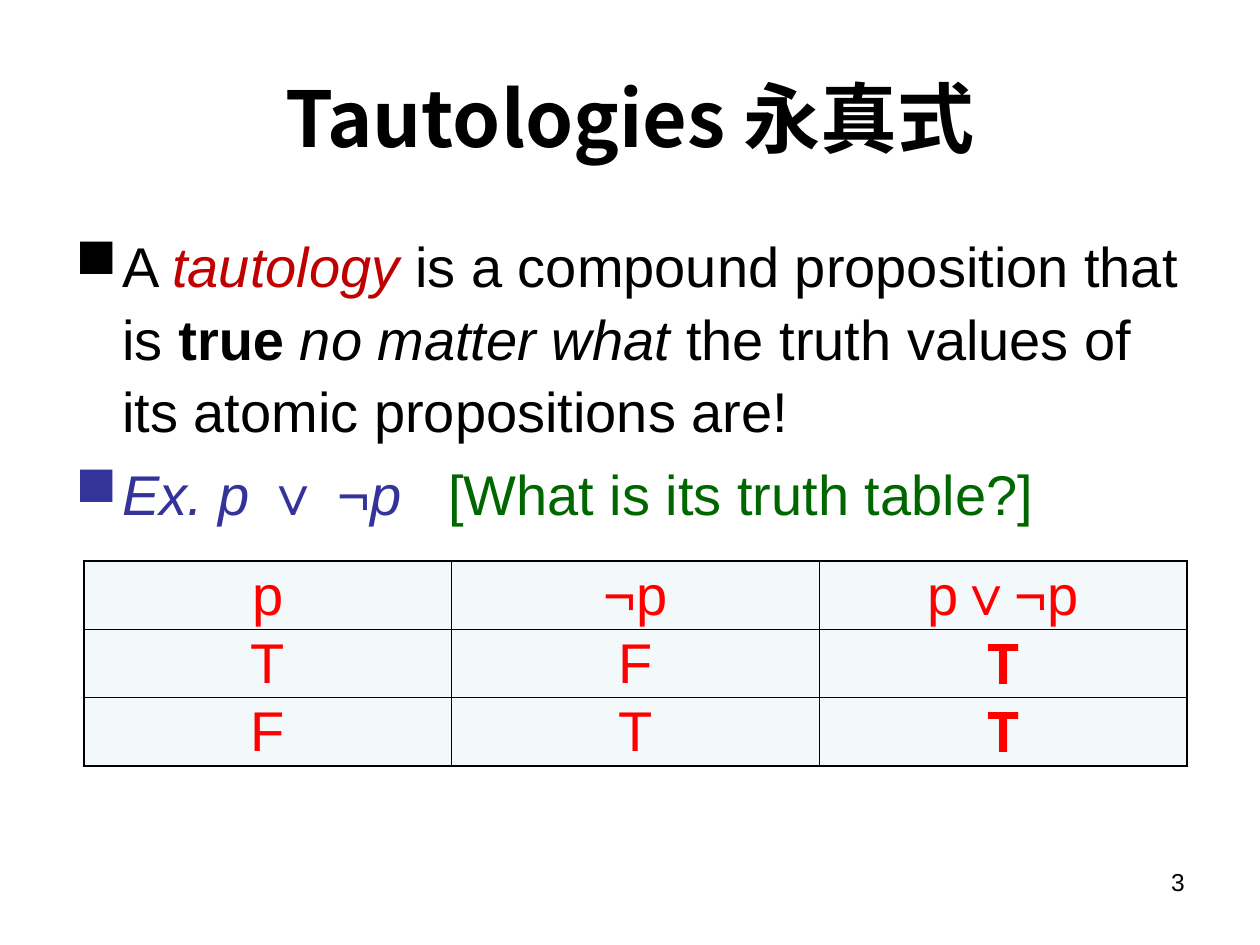
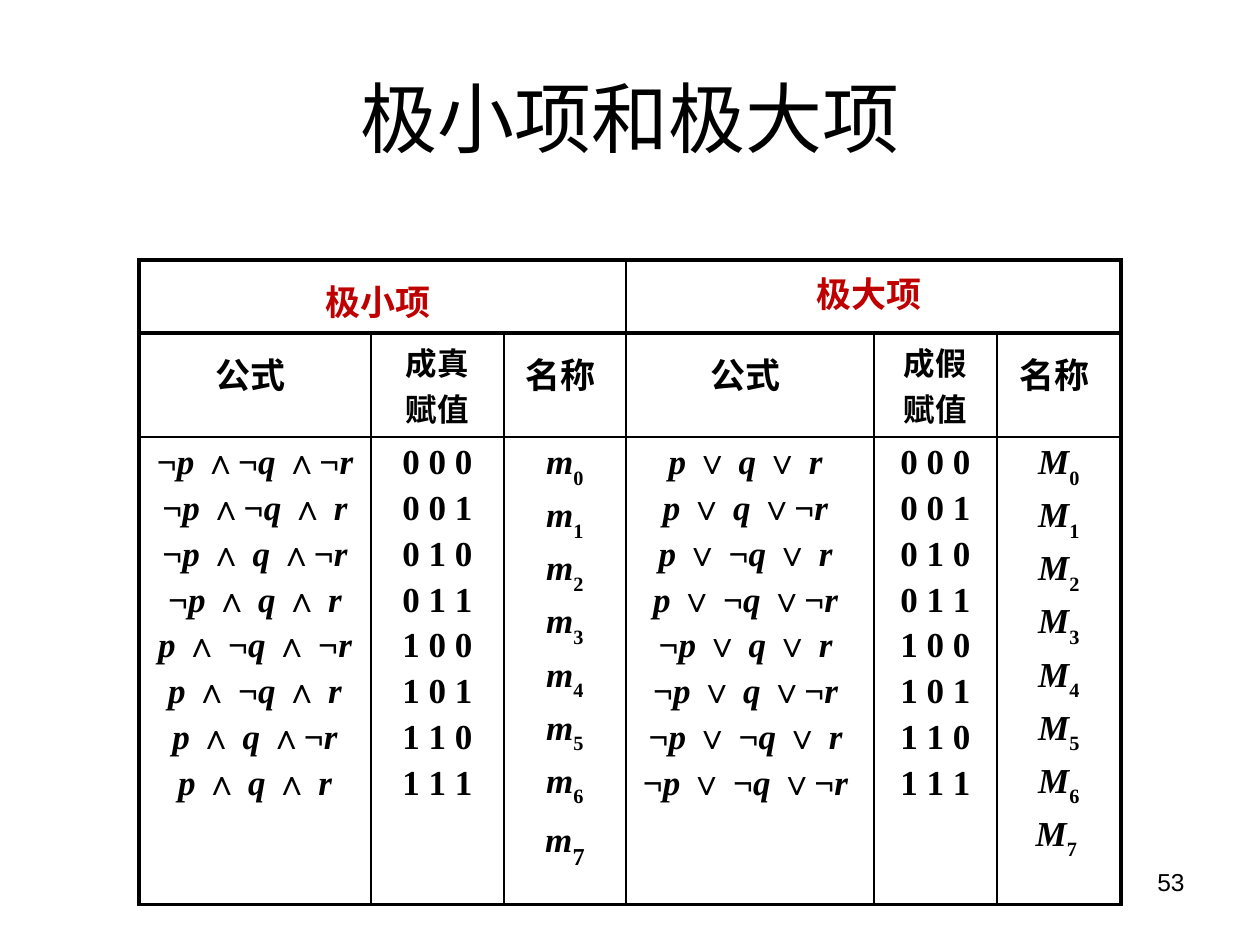
from itertools import accumulate, groupby

from lxml import etree
from pptx import Presentation
from pptx.dml.color import RGBColor
from pptx.enum.text import MSO_ANCHOR, PP_ALIGN
from pptx.oxml.ns import qn
from pptx.util import Emu, Pt

LEFT, CENTER, RIGHT = PP_ALIGN.LEFT, PP_ALIGN.CENTER, PP_ALIGN.RIGHT
TOP, MIDDLE = MSO_ANCHOR.TOP, MSO_ANCHOR.MIDDLE
COLORS = {"ink": "000000", "term": "C00000", "example": "333399",
          "question": "006600", "truth": "FF0000", "cell": "F3F9FA"}
SANS, CJK, MONO, SERIF = "Arial", "Noto Sans CJK SC", "Noto Sans Mono", "Times New Roman"
THIN, THICK = 1, 2.25
TITLE_BOX = (63, 38, 1134, 157)
BODY_BOX = (63, 220, 1134, 624)
NUMBER_BOX = (903, 861, 294, 66)
TRUTH_BOX = (84, 561, 1103, 205)
TERMS_BOX = (139, 260, 982, 618)
TRUTH_ROWS = [("p", "¬p", "p∨¬p"), ("T", "F", "T"), ("F", "T", "T")]
MINTERMS = ["¬p ∧¬q ∧¬r", "¬p ∧¬q ∧ r", "¬p ∧ q ∧¬r", "¬p ∧ q ∧ r",
            "p ∧ ¬q ∧ ¬r", "p ∧ ¬q ∧ r", "p ∧ q ∧¬r", "p ∧ q ∧ r"]
MAXTERMS = ["p ∨ q ∨ r ", "p ∨ q ∨¬r ", "p ∨ ¬q ∨ r ", "p ∨ ¬q ∨¬r ",
            "¬p ∨ q ∨ r ", "¬p ∨ q ∨¬r ", "¬p ∨ ¬q ∨ r ", "¬p ∨ ¬q ∨¬r "]
ASSIGNMENTS = [" ".join(f"{index:03b}") for index in range(8)]


def px(length):
    """Turn px into EMU."""
    return Emu(round(length * 914400 / 126))


def rgb(name):
    """Look up a named colour."""
    return RGBColor.from_string(COLORS[name])


def add_runs(paragraph, runs):
    """Add runs, each a string or a pair of text and differing traits."""
    for entry in runs:
        text, traits = (entry, {}) if isinstance(entry, str) else entry
        run = paragraph.add_run()
        run.text = text
        for trait, value in traits.items():
            if trait == "color":
                run.font.color.rgb = rgb(value)
            elif trait == "baseline":
                run._r.get_or_add_rPr().set("baseline", str(value))
            else:
                setattr(run.font, trait, value)


def style(paragraph, font, size, color="ink", bold=False, align=CENTER):
    """Set the font that all runs of a paragraph share."""
    paragraph.alignment = align
    paragraph.font.name = font
    paragraph.font.size = Pt(size)
    paragraph.font.bold = bold
    paragraph.font.color.rgb = rgb(color)
    if font == CJK:
        defaults = paragraph._p.pPr.find(qn("a:defRPr"))
        latin = defaults.find(qn("a:latin"))
        east_asian = etree.Element(qn("a:ea"), typeface=font)
        latin.addnext(east_asian)


def write(frame, lines, font, size, gap=0, **look):
    """Write centred or aligned lines into a text frame."""
    for index, runs in enumerate(lines):
        paragraph = frame.add_paragraph() if index else frame.paragraphs[0]
        style(paragraph, font, size, **look)
        if index and gap:
            paragraph.space_before = Pt(gap)
        add_runs(paragraph, runs)


def add_box(slide, box, anchor=TOP):
    """Add a wrapping text box and return its frame."""
    frame = slide.shapes.add_textbox(*map(px, box)).text_frame
    frame.word_wrap = True
    frame.vertical_anchor = anchor
    return frame


def add_frame(slide, title, number, bold=False):
    """Add the title and slide number that every slide carries."""
    write(add_box(slide, TITLE_BOX, MIDDLE), [[title]], CJK, 44, bold=bold)
    write(add_box(slide, NUMBER_BOX), [[number]], SANS, 14, align=RIGHT)


def add_grid(slide, left, top, widths, heights):
    """Add a plain table with the given column widths and row heights."""
    table = slide.shapes.add_table(len(heights), len(widths), px(left), px(top),
                                   px(sum(widths)), px(sum(heights))).table
    table.first_row = table.horz_banding = False
    for column, width in zip(table.columns, widths):
        column.width = px(width)
    for row, height in zip(table.rows, heights):
        row.height = px(height)
    return table


def finish_cell(cell, borders, fill=None):
    """Draw left, right, top and bottom borders, then the fill."""
    properties = cell._tc.get_or_add_tcPr()
    for side, width in zip("LRTB", borders):
        line = etree.SubElement(properties, qn(f"a:ln{side}"), w=str(Pt(width)))
        solid = etree.SubElement(line, qn("a:solidFill"))
        etree.SubElement(solid, qn("a:srgbClr"), val=COLORS["ink"])
    if fill:
        cell.fill.solid()
        cell.fill.fore_color.rgb = rgb(fill)
    else:
        cell.fill.background()


def edge_borders(column, count, top, bottom):
    """Give thick lines to the outer sides of a row of cells."""
    return (THICK if column == 0 else THIN,
            THICK if column == count - 1 else THIN, top, bottom)


def add_definition(slide, box):
    """Add the bulleted definition and example."""
    italic = {"italic": True}
    points = [
        ("ink", ["A ", ("tautology", {"italic": True, "color": "term"}),
                 " is a compound proposition that is ", ("true ", {"bold": True}),
                 ("no matter what", italic),
                 " the truth values of its atomic propositions are!"]),
        ("example", [("Ex. p ", italic), "∨ ¬", ("p", italic), "\t",
                     ("[What is its truth table?]", {"color": "question"})]),
    ]
    frame = add_box(slide, box)
    for index, (color, runs) in enumerate(points):
        paragraph = frame.add_paragraph() if index else frame.paragraphs[0]
        paragraph.line_spacing = 1.08
        if index:
            paragraph.space_before = Pt(6)
        properties = paragraph._p.get_or_add_pPr()
        properties.set("marL", str(px(47)))
        properties.set("indent", str(-px(47)))
        etree.SubElement(properties, qn("a:buChar"), char="■")
        if index:
            tabs = etree.SubElement(properties, qn("a:tabLst"))
            etree.SubElement(tabs, qn("a:tab"), pos=str(px(373)), algn="l")
        style(paragraph, SANS, 32, color, align=LEFT)
        add_runs(paragraph, runs)


def add_truth_table(slide, box):
    """Add the truth table, its result column emphasised."""
    left, top, width, height = box
    table = add_grid(slide, left, top, [width / 3] * 3, [height / 3] * 3)
    for row, values in enumerate(TRUTH_ROWS):
        for column, value in enumerate(values):
            cell = table.cell(row, column)
            cell.margin_left = cell.margin_right = cell.margin_top = px(1)
            cell.margin_bottom = 0
            cell.vertical_anchor = MIDDLE
            result = row > 0 and column == 2
            write(cell.text_frame, [[value]], MONO if result else SANS, 32,
                  color="truth", bold=result)
            if result:
                cell.text_frame.paragraphs[0].line_spacing = 0.88
            finish_cell(cell, [THIN] * 4, "cell")


def formula(text):
    """Split a formula into italic variables and upright signs."""
    return [("".join(part), {"italic": is_variable})
            for is_variable, part in groupby(text, str.isalpha)]


def term_names(letter, last, last_traits):
    """List the indexed names of eight terms."""
    subscript = {"baseline": -30000}
    names = [[(letter, {"italic": True}), (str(index), subscript)] for index in range(7)]
    return names + [[(letter, {"italic": True}), (last, {**subscript, **last_traits})]]


def add_terms_table(slide, box):
    """Add the group headings and the table of minterms and maxterms."""
    left, top, width, height = box
    widths = [232, 133, 122, 248, 123, 124]
    half = list(accumulate(widths))[2]
    heading_height, label_height = 73, 104
    wide_space = (" ", {"size": Pt(24)})

    groups = add_grid(slide, left, top, [half, width - half], [heading_height])
    for column, heading in enumerate([["极小项", wide_space], ["极大项 "]]):
        cell = groups.cell(0, column)
        write(cell.text_frame, [heading], CJK, 20, color="term", bold=True)
        finish_cell(cell, edge_borders(column, 2, THICK, THICK))

    labels = ["公式", "成真 赋值", "名称", "公式", "成假 赋值", "名称"]
    assignments = [[bits] for bits in ASSIGNMENTS]
    contents = [[formula(term) for term in MINTERMS], assignments,
                term_names("m", "7", {"size": Pt(24)}),
                [formula(term) for term in MAXTERMS], assignments,
                term_names("M", "7 ", {})]
    terms = add_grid(slide, left, top + heading_height, widths,
                     [label_height, height - heading_height - label_height])
    for column, (label, lines) in enumerate(zip(labels, contents)):
        head, body = terms.cell(0, column), terms.cell(1, column)
        parts = label.split()
        if len(parts) > 1:
            write(head.text_frame, [[part] for part in parts], CJK, 18, bold=True)
        else:
            write(head.text_frame, [[label, wide_space]], CJK, 20, bold=True)
        write(body.text_frame, lines, SERIF, 20, gap=4, bold=True)
        finish_cell(head, edge_borders(column, 6, THICK, THIN))
        finish_cell(body, edge_borders(column, 6, THIN, THICK))


def main():
    """Build and save the two slides."""
    deck = Presentation()
    deck.slide_width, deck.slide_height = px(1260), px(945)
    blank = deck.slide_layouts[6]

    tautologies = deck.slides.add_slide(blank)
    add_frame(tautologies, "Tautologies 永真式", "3", bold=True)
    add_definition(tautologies, BODY_BOX)
    add_truth_table(tautologies, TRUTH_BOX)

    terms = deck.slides.add_slide(blank)
    add_frame(terms, "极小项和极大项", "53")
    add_terms_table(terms, TERMS_BOX)
    deck.save("out.pptx")


if __name__ == "__main__":
    main()
